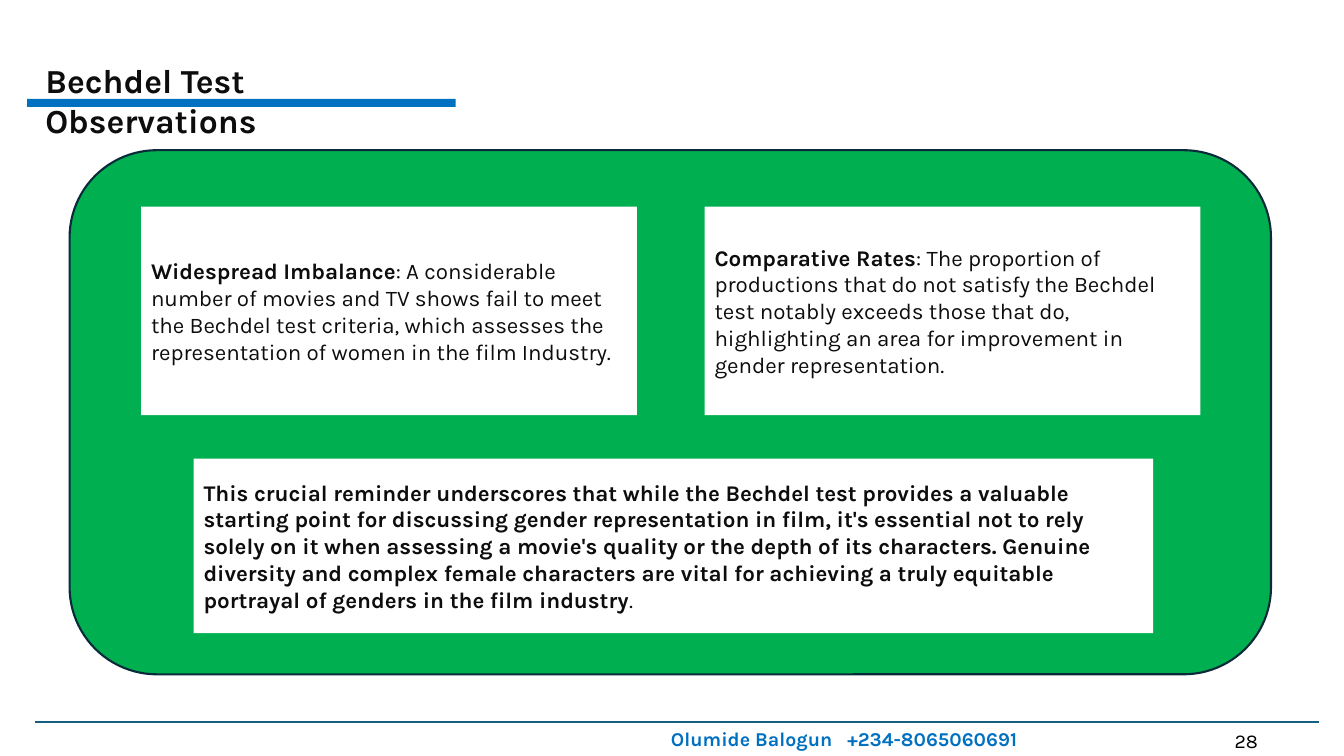
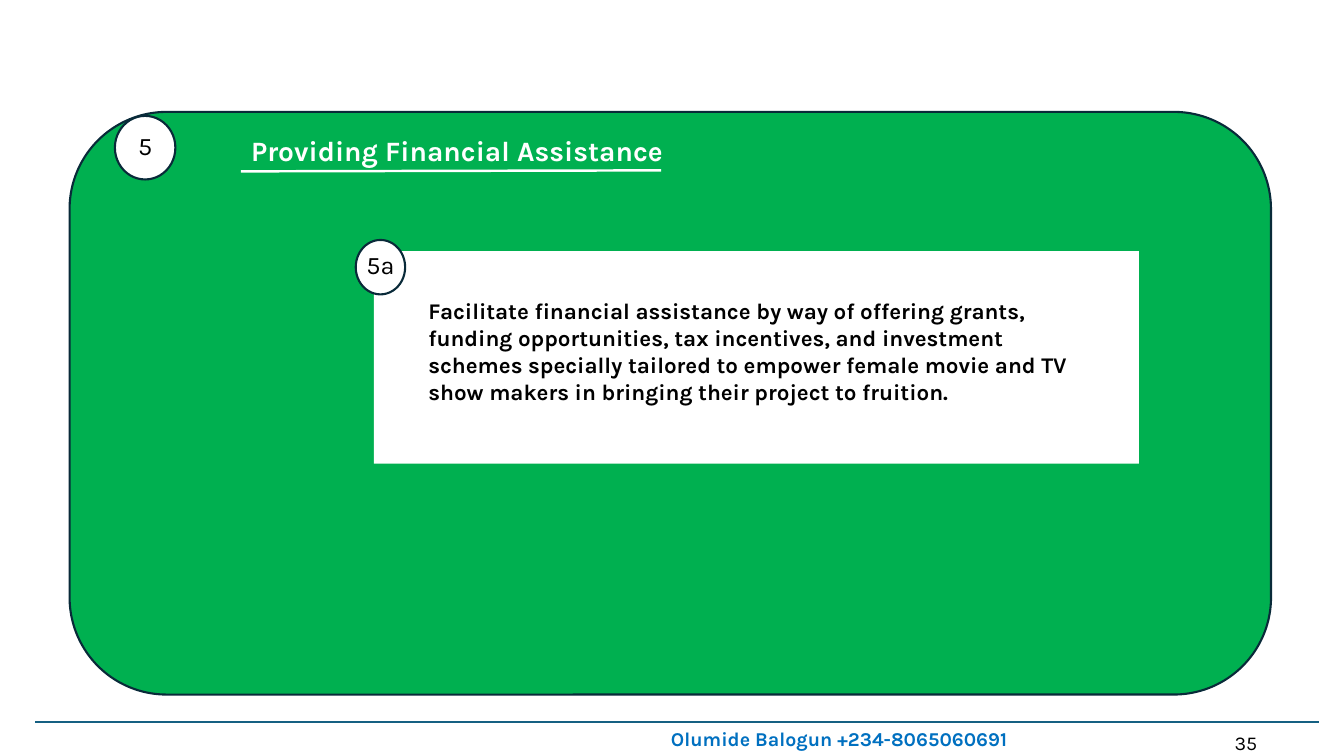
"""Build two slides on gender representation in film."""
from dataclasses import dataclass
from typing import NamedTuple

from lxml import etree
from pptx import Presentation
from pptx.dml.color import RGBColor
from pptx.enum.shapes import MSO_CONNECTOR, MSO_SHAPE
from pptx.enum.text import MSO_ANCHOR, MSO_AUTO_SIZE, PP_ALIGN
from pptx.oxml.ns import qn
from pptx.util import Pt

RECTANGLE = MSO_SHAPE.RECTANGLE
ROUNDED = MSO_SHAPE.ROUNDED_RECTANGLE
OVAL = MSO_SHAPE.OVAL
STRAIGHT = MSO_CONNECTOR.STRAIGHT
TOP, MIDDLE = MSO_ANCHOR.TOP, MSO_ANCHOR.MIDDLE
LEFT, CENTER = PP_ALIGN.LEFT, PP_ALIGN.CENTER
NO_AUTOSIZE = MSO_AUTO_SIZE.NONE
TITLE_ONLY = 5


@dataclass(frozen=True)
class Theme:
    """Colours, font and type sizes of the deck."""

    font: str = "Karla"
    green: str = "00B050"
    outline: str = "092A39"
    rule: str = "156082"
    blue: str = "0070C0"
    ink: str = "0D0D0D"
    black: str = "000000"
    white: str = "FFFFFF"
    title_size: int = 24
    heading_size: int = 20
    badge_size: int = 18
    body_size: int = 16
    footer_size: int = 14
    line_width: float = 1.5
    underline_width: float = 1.75


class Box(NamedTuple):
    """A rectangle in points."""

    left: float
    top: float
    width: float
    height: float

    def inner(self, left, top, width, height):
        """Return a box whose corner is measured from this one."""
        return Box(self.left + left, self.top + top, width, height)

    def lengths(self):
        """Return the four values as lengths."""
        return [Pt(value) for value in self]


THEME = Theme()
SLIDE = Box(0, 0, 960, 540)
INSETS = (7.2, 3.6, 7.2, 3.6)


def write(shape, *runs, size, color, bold=False, align=LEFT, anchor=TOP, insets=INSETS, wrap=True):
    """Fill a shape with one paragraph of strings or (text, bold) pairs."""
    frame = shape.text_frame
    frame.auto_size = NO_AUTOSIZE
    frame.word_wrap = wrap
    frame.vertical_anchor = anchor
    frame.margin_left, frame.margin_top, frame.margin_right, frame.margin_bottom = map(Pt, insets)
    paragraph = frame.paragraphs[0]
    paragraph.alignment = align
    for item in runs:
        text, weight = (item, bold) if isinstance(item, str) else item
        run = paragraph.add_run()
        run.text = text
        run.font.name = THEME.font
        run.font.size = Pt(size)
        run.font.bold = weight
        run.font.color.rgb = RGBColor.from_string(color)


def add_box(slide, kind, box, fill, line=None):
    """Add a flat preset shape, outlined when a line colour is given."""
    shape = slide.shapes.add_shape(kind, *box.lengths())
    shape.shadow.inherit = False
    shape.fill.solid()
    shape.fill.fore_color.rgb = RGBColor.from_string(fill)
    if line:
        shape.line.color.rgb = RGBColor.from_string(line)
        shape.line.width = Pt(THEME.line_width)
    else:
        shape.line.fill.background()
    return shape


def add_line(slide, start, end, color, width):
    """Add a straight line without a shadow."""
    line = slide.shapes.add_connector(STRAIGHT, *map(Pt, (*start, *end)))
    line.line.color.rgb = RGBColor.from_string(color)
    line.line.width = Pt(width)
    etree.SubElement(line._element.spPr, qn("a:effectLst"))


def add_title(slide, box, text, **style):
    """Place the title placeholder above the shapes drawn so far."""
    title = slide.shapes.title
    title.left, title.top, title.width, title.height = box.lengths()
    write(title, text, bold=True, **style)
    slide.shapes._spTree.append(title._element)


def add_footer(slide, box, contact, number, number_top):
    """Add the rule, contact and page number inside the footer box."""
    add_line(slide, (box.left, box.top), (box.left + box.width, box.top), THEME.rule, THEME.line_width)
    contact_box = slide.shapes.add_textbox(*box.inner(447, 0, 294, 24.5).lengths())
    write(contact_box, contact, size=THEME.footer_size, color=THEME.blue, bold=True)
    number_box = slide.shapes.add_textbox(*box.inner(849.6, number_top, 34, 24.5).lengths())
    write(number_box, number, size=THEME.footer_size, color=THEME.black)


def add_card(slide, box, *runs, color=THEME.ink, **style):
    """Add a white card of body text."""
    card = add_box(slide, RECTANGLE, box, THEME.white)
    write(card, *runs, size=THEME.body_size, color=color, **style)


def add_badge(slide, box, label):
    """Add an outlined oval with a short label."""
    badge = add_box(slide, OVAL, box, THEME.white, THEME.outline)
    write(badge, label, size=THEME.badge_size, color=THEME.black, align=CENTER,
          anchor=MIDDLE, insets=(0, 0, 0, 3.5), wrap=False)


def start_slide(presentation, panel, contact, number, number_top):
    """Add a slide with its green panel and footer."""
    slide = presentation.slides.add_slide(presentation.slide_layouts[TITLE_ONLY])
    add_box(slide, ROUNDED, panel, THEME.green, THEME.outline)
    add_footer(slide, SLIDE.inner(25.2, 515.5, 917.3, 24.5), contact, number, number_top)
    return slide


def add_observations(presentation, panel):
    """Build the slide of Bechdel test observations."""
    slide = start_slide(presentation, panel, "Olumide Balogun   +234-8065060691", "28", 1.4)
    add_title(slide, SLIDE.inner(25.2, 38.9, 282.2, 65), "Bechdel Test Observations",
              size=THEME.title_size, color=THEME.ink)
    add_box(slide, RECTANGLE, SLIDE.inner(19.4, 70.6, 306, 5.8), THEME.blue)
    findings = [
        ("Widespread Imbalance",
         ": A considerable number of movies and TV shows fail to meet the Bechdel test criteria, "
         "which assesses the representation of women in the film Industry."),
        ("Comparative Rates",
         ": The proportion of productions that do not satisfy the Bechdel test notably exceeds "
         "those that do, highlighting an area for improvement in gender representation."),
    ]
    for column, (term, detail) in enumerate(findings):
        add_card(slide, panel.inner(51.1 + column * 402.5, 40.3, 354.2, 149),
                 (term, True), detail, anchor=MIDDLE)
    reminder = (
        "This crucial reminder underscores that while the Bechdel test provides a valuable "
        "starting point for discussing gender representation in film, it's essential not to rely "
        "solely on it when assessing a movie's quality or the depth of its characters. Genuine "
        "diversity and complex female characters are vital for achieving a truly equitable "
        "portrayal of genders in the film industry"
    )
    add_card(slide, panel.inner(88.6, 220.3, 685.4, 124.6), (reminder, True), ".", anchor=MIDDLE)


def add_recommendation(presentation, panel):
    """Build the slide on financial assistance."""
    slide = start_slide(presentation, panel, "Olumide Balogun +234-8065060691", "35", 2.9)
    add_badge(slide, panel.inner(32.4, 2.9, 43.2, 45.4), "5")
    card = panel.inner(217.4, 99.4, 546.5, 151.9)
    add_card(
        slide, card,
        "Facilitate financial assistance by way of offering grants, funding opportunities, tax "
        "incentives, and investment schemes specially tailored to empower female movie and TV "
        "show makers in bringing their project to fruition.",
        color=THEME.black, bold=True, insets=(38.9, 33.1, 43.9, 3.6))
    add_badge(slide, card.inner(-13, -7.9, 35.3, 38.9), "5a")
    heading = panel.inner(122.4, 11.5, 478, 31.7)
    add_title(slide, heading, "Providing Financial Assistance",
              size=THEME.heading_size, color=THEME.white)
    add_line(slide, (heading.left, heading.top + 31), (heading.left + 300.2, heading.top + 30.3),
             THEME.white, THEME.underline_width)


def main():
    """Build and save the presentation."""
    presentation = Presentation()
    presentation.slide_width, presentation.slide_height = Pt(SLIDE.width), Pt(SLIDE.height)
    add_observations(presentation, SLIDE.inner(49.7, 107.3, 858.2, 374.4))
    add_recommendation(presentation, SLIDE.inner(49.7, 79.9, 858.2, 416.2))
    presentation.save("out.pptx")


if __name__ == "__main__":
    main()
